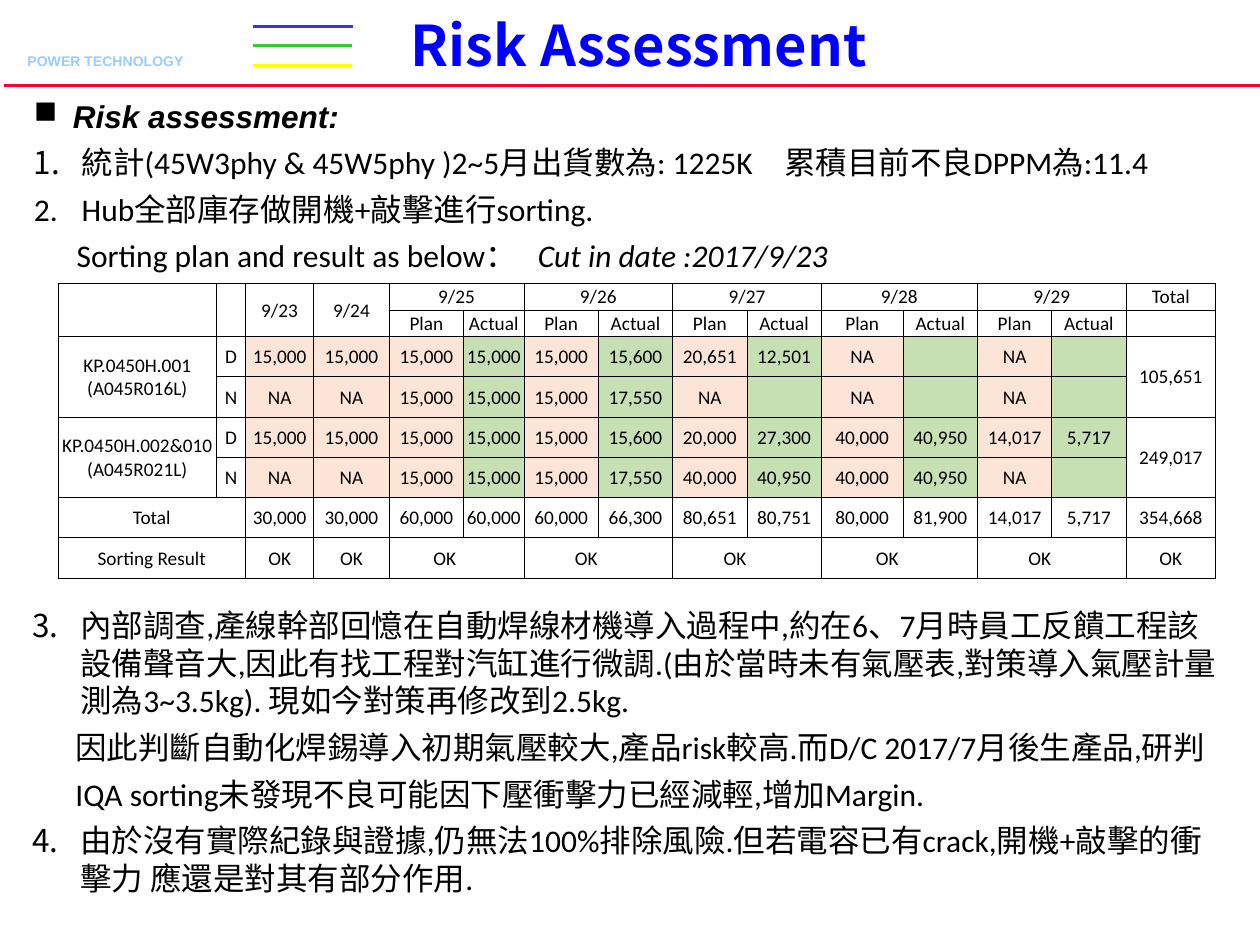
from lxml.etree import SubElement
from pptx import Presentation
from pptx.dml.color import RGBColor
from pptx.enum.shapes import MSO_CONNECTOR
from pptx.enum.text import MSO_ANCHOR, MSO_AUTO_SIZE, PP_ALIGN
from pptx.oxml.ns import qn
from pptx.util import Inches, Pt

BLACK = RGBColor(0x00, 0x00, 0x00)
BLUE = RGBColor(0x00, 0x00, 0xFF)
PALE_BLUE = RGBColor(0x99, 0xCC, 0xFF)
RED = RGBColor(0xFF, 0x00, 0x33)
INDIGO = RGBColor(0x33, 0x33, 0xFF)
GREEN = RGBColor(0x33, 0xCC, 0x33)
YELLOW = RGBColor(0xFF, 0xFF, 0x00)
PLAN_FILL = RGBColor(0xFC, 0xE4, 0xD6)
ACTUAL_FILL = RGBColor(0xC6, 0xE0, 0xB4)

RULES = [
    (0.03, 10, 0.68, RED),
    (2.01, 2.8, 0.21, INDIGO),
    (2.01, 2.79, 0.36, GREEN),
    (2.01, 2.79, 0.52, YELLOW),
]

TITLE = {"name": "Noto Sans CJK SC", "size": Pt(32), "bold": True}
TAGLINE = {"name": "Arial", "size": Pt(8), "bold": True}
HEADING = {"name": "Arial", "size": Pt(18), "bold": True, "italic": True}
BODY = {"name": "Calibri", "size": Pt(18)}
ITALIC = {**BODY, "italic": True}
CELL = {"name": "Calibri", "size": Pt(11)}

SQUARE = ("a:buChar", {"char": "■"})
INTRO = [
    (SQUARE, 0.31, -0.31, [("Risk assessment:", HEADING)]),
    (1, 0.38, -0.38, [("統計(45W3phy & 45W5phy )2~5月出貨數為: 1225K　累積目前不良DPPM為:11.4", BODY)]),
    (2, 0.38, -0.38, [("Hub全部庫存做開機+敲擊進行sorting.", BODY)]),
    (None, 0, 0.34, [("Sorting plan and result as below：\t", BODY),
                     ("Cut in date :2017/9/23", ITALIC)]),
]
FINDINGS = [
    (3, 0.38, -0.38, [("內部調查,產線幹部回憶在自動焊線材機導入過程中,約在6、7月時員工反饋工程該設備聲音大,"
                       "因此有找工程對汽缸進行微調.(由於當時未有氣壓表,對策導入氣壓計量測為3~3.5kg). "
                       "現如今對策再修改到2.5kg.", BODY)]),
    (None, 0, 0.34, [("因此判斷自動化焊錫導入初期氣壓較大,產品risk較高.而D/C 2017/7月後生產品,研判", BODY)]),
    (None, 0, 0.34, [("IQA sorting未發現不良可能因下壓衝擊力已經減輕,增加Margin.", BODY)]),
    (4, 0.38, -0.38, [("由於沒有實際紀錄與證據,仍無法100%排除風險.但若電容已有crack,"
                       "開機+敲擊的衝擊力 應還是對其有部分作用.", BODY)]),
]
DATE_TAB = 9.4

COLS = [1.26, 0.23, 0.54, 0.6, 0.59, 0.48, 0.59, 0.59, 0.59, 0.59, 0.65, 0.59, 0.59, 0.59, 0.71]
ROWS = [0.21] * 2 + [0.32] * 6
DAY_COLS = range(4, 14, 2)
ROWS_TEXT = [
    ["", "", "9/23", "9/24", "9/25", "", "9/26", "", "9/27", "", "9/28", "", "9/29", "", "Total"],
    [""] * 4 + ["Plan", "Actual"] * 5 + [""],
    ["KP.0450H.001\n(A045R016L)", "D", "15,000", "15,000", "15,000", "15,000", "15,000", "15,600",
     "20,651", "12,501", "NA", "", "NA", "", "105,651"],
    ["", "N", "NA", "NA", "15,000", "15,000", "15,000", "17,550",
     "NA", "", "NA", "", "NA", "", ""],
    ["KP.0450H.002&010\n(A045R021L)", "D", "15,000", "15,000", "15,000", "15,000", "15,000", "15,600",
     "20,000", "27,300", "40,000", "40,950", "14,017", "5,717", "249,017"],
    ["", "N", "NA", "NA", "15,000", "15,000", "15,000", "17,550",
     "40,000", "40,950", "40,000", "40,950", "NA", "", ""],
    ["Total", "", "30,000", "30,000", "60,000", "60,000", "60,000", "66,300",
     "80,651", "80,751", "80,000", "81,900", "14,017", "5,717", "354,668"],
    ["Sorting Result", "", "OK", "OK"] + ["OK", ""] * 5 + ["OK"],
]
MERGES = (
    [(0, c, 1, c) for c in range(4)]
    + [(r, c, r, c + 1) for r in (0, 7) for c in DAY_COLS]
    + [(r, c, r + 1, c) for r in (2, 4) for c in (0, 14)]
    + [(r, 0, r, 1) for r in (6, 7)]
)


def add_run(p, text, fmt, color=BLACK):
    r = p.add_run()
    r.text = text
    for key, value in fmt.items():
        setattr(r.font, key, value)
    r.font.color.rgb = color


def add_rule(slide, x1, x2, y, color):
    line = slide.shapes.add_connector(MSO_CONNECTOR.STRAIGHT, Inches(x1), Inches(y), Inches(x2), Inches(y))
    line.line.color.rgb = color
    line.line.width = Pt(2)
    SubElement(line._element.spPr, qn("a:effectLst"))


def add_box(slide, x, y, w, h, wrap=True):
    tf = slide.shapes.add_textbox(Inches(x), Inches(y), Inches(w), Inches(h)).text_frame
    tf.word_wrap = wrap
    return tf


def fill_list(tf, items):
    for i, (mark, margin, indent, runs) in enumerate(items):
        p = tf.paragraphs[0] if i == 0 else tf.add_paragraph()
        pPr = p._p.get_or_add_pPr()
        pPr.set("marL", str(Inches(margin)))
        pPr.set("indent", str(Inches(indent)))
        if mark:
            tag, attrs = mark if mark == SQUARE else (
                "a:buAutoNum", {"type": "arabicPeriod", "startAt": str(mark)})
            color = SubElement(pPr, qn("a:buClr"))
            SubElement(color, qn("a:srgbClr"), val=str(BLACK))
            SubElement(pPr, qn(tag), attrs)
        else:
            SubElement(pPr, qn("a:buNone"))
        if len(runs) > 1:
            tabs = SubElement(pPr, qn("a:tabLst"))
            SubElement(tabs, qn("a:tab"), pos=str(Inches(DATE_TAB)), algn="r")
        p.space_before = Pt(5 if i else 0)
        for text, fmt in runs:
            add_run(p, text, fmt)


def add_borders(cell):
    tcPr = cell._tc.get_or_add_tcPr()
    for side in ("a:lnL", "a:lnR", "a:lnT", "a:lnB"):
        ln = SubElement(tcPr, qn(side), w=str(Pt(0.5)))
        SubElement(SubElement(ln, qn("a:solidFill")), qn("a:srgbClr"), val=str(BLACK))


def fill_cell(cell, text, row, col):
    cell.vertical_anchor = MSO_ANCHOR.MIDDLE
    cell.margin_left = cell.margin_right = cell.margin_top = Inches(0.01)
    cell.margin_bottom = 0
    if row == 7 and col in DAY_COLS:
        cell.margin_right = Inches(0.2)
    add_borders(cell)
    if 2 <= row <= 5 and 2 <= col <= 13:
        cell.fill.solid()
        cell.fill.fore_color.rgb = ACTUAL_FILL if col > 4 and col % 2 else PLAN_FILL
    else:
        cell.fill.background()
    tf = cell.text_frame
    for i, line in enumerate(text.split("\n")):
        p = tf.paragraphs[0] if i == 0 else tf.add_paragraph()
        p.alignment = PP_ALIGN.CENTER
        if line:
            add_run(p, line, CELL)
        else:
            SubElement(p._p, qn("a:endParaRPr"), sz="1100")


def add_sorting_table(slide):
    table = slide.shapes.add_table(len(ROWS), len(COLS), Inches(0.46), Inches(2.25),
                                   Inches(sum(COLS)), Inches(sum(ROWS))).table
    table.first_row = table.horz_banding = False
    for col, width in zip(table.columns, COLS):
        col.width = Inches(width)
    for row, height in zip(table.rows, ROWS):
        row.height = Inches(height)
    for r, texts in enumerate(ROWS_TEXT):
        for c, text in enumerate(texts):
            fill_cell(table.cell(r, c), text, r, c)
    for top, left, bottom, right in MERGES:
        table.cell(top, left).merge(table.cell(bottom, right))


def main():
    prs = Presentation()
    prs.slide_width, prs.slide_height = Inches(10), Inches(7.5)
    slide = prs.slides.add_slide(prs.slide_layouts[5])
    for rule in RULES:
        add_rule(slide, *rule)
    tagline = add_box(slide, 0.12, 0.37, 1.44, 0.23, wrap=False)
    add_run(tagline.paragraphs[0], "POWER TECHNOLOGY", TAGLINE, PALE_BLUE)

    title = slide.shapes.title
    title.left, title.top, title.width, title.height = map(Inches, (3.16, 0.03, 4, 0.64))
    tf = title.text_frame
    tf.auto_size = MSO_AUTO_SIZE.NONE
    tf.vertical_anchor = MSO_ANCHOR.MIDDLE
    tf.paragraphs[0].alignment = PP_ALIGN.LEFT
    add_run(tf.paragraphs[0], "Risk Assessment", TITLE, BLUE)

    fill_list(add_box(slide, 0.17, 0.72, 9.61, 1.53), INTRO)
    add_sorting_table(slide)
    fill_list(add_box(slide, 0.16, 4.76, 9.61, 2.43), FINDINGS)
    prs.save("out.pptx")


if __name__ == "__main__":
    main()
